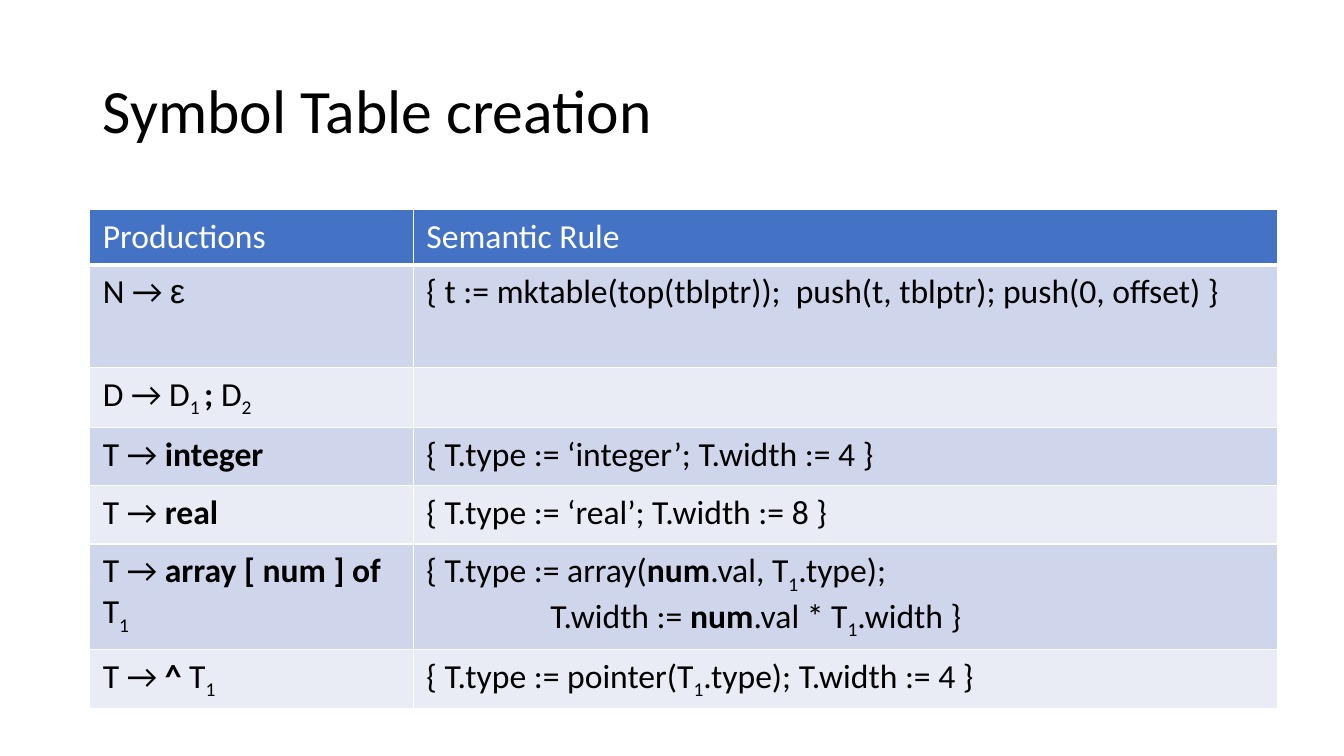
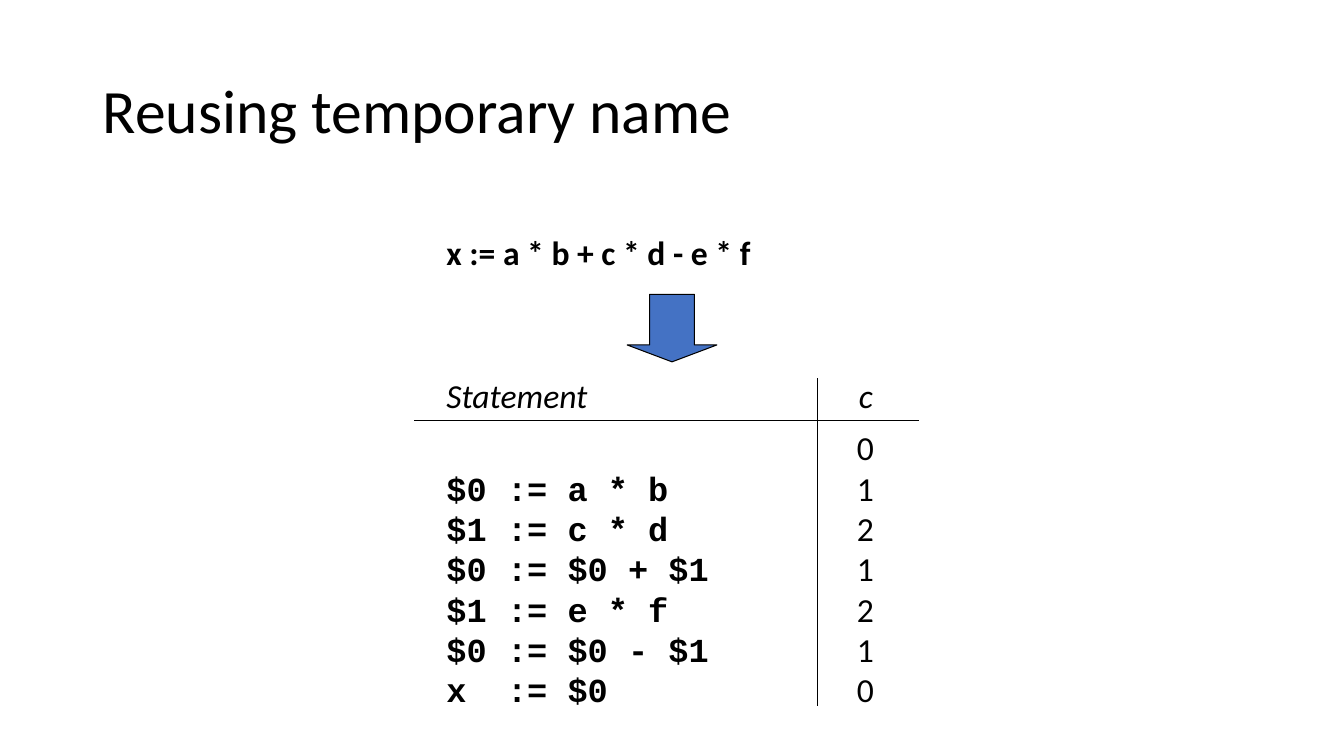
from typing import NamedTuple

import lxml.etree
import pptx
import pptx.dml.color
import pptx.enum.shapes
import pptx.enum.text
import pptx.oxml.ns
import pptx.util

Inches = pptx.util.Inches
BLACK, WHITE, BLUE = "000000", "FFFFFF", "4472C4"
BANDS = ("CFD5EA", "E9EBF5")
BODY_SIZE, TITLE_SIZE = 24, 44
COLUMN_WIDTHS = (3.21, 8.57)
ROW_HEIGHTS = (0.54, 1.02, 0.58, 0.58, 0.58, 1.02, 0.58)
HANGING_INDENT = 1.23


class Span(NamedTuple):
    text: str
    bold: bool = False
    sub: bool = False
    font: str = "Calibri"


class Line(NamedTuple):
    spans: tuple[Span, ...]
    indent: float = 0


class Rule(NamedTuple):
    production: tuple[Line, ...]
    action: tuple[Line, ...]


class Label(NamedTuple):
    text: str
    left: float
    top: float
    width: float
    height: float
    font: str = "Calibri"
    bold: bool = False
    italic: bool = False


class Segment(NamedTuple):
    x1: float
    y1: float
    x2: float
    y2: float


SUB_1 = Span("1", sub=True)
NUM = Span("num", bold=True)


def line(*spans: str | Span, indent: float = 0) -> Line:
    return Line(tuple(Span(sp) if isinstance(sp, str) else sp for sp in spans), indent)


RULES = (
    Rule((line("N → ", Span("ε", font="Arial")),),
         (line("{ t := mktable(top(tblptr));  push(t, tblptr); push(0, offset) }"),)),
    Rule((line("D → D", Span("1 ", sub=True), Span(";", bold=True), " D", Span("2", sub=True)),),
         (line(),)),
    Rule((line("T → ", Span("integer", bold=True)),),
         (line("{ T.type := ‘integer’; T.width := 4 }"),)),
    Rule((line("T → ", Span("real", bold=True)),),
         (line("{ T.type := ‘real’; T.width := 8 }"),)),
    Rule((line("T → ", Span("array [ num ] of", bold=True), " T", SUB_1),),
         (line("{ T.type := array(", NUM, ".val, T", SUB_1, ".type);"),
          line("T.width := ", NUM, ".val * T", SUB_1, ".width }", indent=HANGING_INDENT))),
    Rule((line("T → ", Span("^", bold=True), " T", SUB_1),),
         (line("{ T.type := pointer(T", SUB_1, ".type); T.width := 4 }"),)),
)

STATEMENTS = "\n".join((
    "$0 := a * b",
    "$1 := c * d",
    "$0 := $0 + $1",
    "$1 := e * f",
    "$0 := $0 - $1",
    "x  := $0",
))

LABELS = (
    Label("x := a * b + c * d - e * f", 4.33, 2.25, 3.24, 0.5, bold=True),
    Label("Statement", 4.33, 3.67, 1.62, 0.5, italic=True),
    Label("c", 8.42, 3.67, 0.34, 0.5, italic=True),
    Label(STATEMENTS, 4.33, 4.59, 2.82, 2.52, font="Courier New", bold=True),
    Label("\n".join("0121210"), 8.4, 4.19, 0.37, 2.93),
)

SEGMENTS = (Segment(4.11, 4.17, 9.11, 4.17), Segment(8.11, 3.75, 8.11, 7))


def rgb(color: str) -> pptx.dml.color.RGBColor:
    return pptx.dml.color.RGBColor.from_string(color)


def style(font, size: float, color: str, name: str = "Calibri",
          bold: bool = False, italic: bool = False) -> None:
    font.size = pptx.util.Pt(size)
    font.name = name
    font.bold = bold
    font.italic = italic
    font.color.rgb = rgb(color)


def add_slide(prs, title: str):
    s = prs.slides.add_slide(prs.slide_layouts.get_by_name("Title Only"))
    sp = s.shapes.title
    sp.left, sp.top, sp.width, sp.height = map(Inches, (0.92, 0.4, 11.5, 1.45))
    tf = sp.text_frame
    tf.text = title
    tf.vertical_anchor = pptx.enum.text.MSO_ANCHOR.MIDDLE
    p = tf.paragraphs[0]
    p.alignment = pptx.enum.text.PP_ALIGN.LEFT
    p.line_spacing = 0.9
    style(p.runs[0].font, TITLE_SIZE, BLACK)
    return s


def set_borders(cell, bottom: float) -> None:
    tc_pr = cell._tc.get_or_add_tcPr()
    qn = pptx.oxml.ns.qn
    for side, width in (("L", 1), ("R", 1), ("T", 1), ("B", bottom)):
        ln = lxml.etree.SubElement(tc_pr, qn(f"a:ln{side}"), w=str(pptx.util.Pt(width)))
        fill = lxml.etree.SubElement(ln, qn("a:solidFill"))
        lxml.etree.SubElement(fill, qn("a:srgbClr"), val=WHITE)


def fill_cell(cell, lines: tuple[Line, ...], fill: str, color: str, bottom: float = 1) -> None:
    set_borders(cell, bottom)
    cell.fill.solid()
    cell.fill.fore_color.rgb = rgb(fill)
    cell.margin_left = cell.margin_right = Inches(0.13)
    cell.margin_top = cell.margin_bottom = Inches(0.07)
    tf = cell.text_frame
    for i, item in enumerate(lines):
        p = tf.add_paragraph() if i else tf.paragraphs[0]
        if item.indent:
            p._p.get_or_add_pPr().set("marL", str(Inches(item.indent)))
        p.font.size = pptx.util.Pt(BODY_SIZE)
        for span in item.spans:
            r = p.add_run()
            r.text = span.text
            style(r.font, BODY_SIZE, color, span.font, span.bold)
            if span.sub:
                r._r.get_or_add_rPr().set("baseline", "-25000")


def add_rules_table(s) -> None:
    frame = s.shapes.add_table(
        len(ROW_HEIGHTS), len(COLUMN_WIDTHS), Inches(0.89), Inches(2.08),
        Inches(sum(COLUMN_WIDTHS)), Inches(sum(ROW_HEIGHTS)))
    table = frame.table
    for column, width in zip(table.columns, COLUMN_WIDTHS):
        column.width = Inches(width)
    for row, height in zip(table.rows, ROW_HEIGHTS):
        row.height = Inches(height)
    for col, heading in enumerate(("Productions", "Semantic Rule")):
        fill_cell(table.cell(0, col), (line(heading),), BLUE, WHITE, bottom=3)
    for i, rule in enumerate(RULES):
        for col, lines in enumerate(rule):
            fill_cell(table.cell(i + 1, col), lines, BANDS[i % 2], BLACK)


def add_label(s, label: Label) -> None:
    sp = s.shapes.add_textbox(*map(Inches, (label.left, label.top, label.width, label.height)))
    tf = sp.text_frame
    tf.text = label.text
    tf.word_wrap = False
    tf.auto_size = pptx.enum.text.MSO_AUTO_SIZE.SHAPE_TO_FIT_TEXT
    for p in tf.paragraphs:
        for r in p.runs:
            style(r.font, BODY_SIZE, BLACK, label.font, label.bold, label.italic)


def set_outline(sp) -> None:
    sp.line.color.rgb = rgb(BLACK)
    sp.line.width = pptx.util.Pt(0.75)


def add_segment(s, segment: Segment) -> None:
    sp = s.shapes.add_connector(pptx.enum.shapes.MSO_CONNECTOR.STRAIGHT, *map(Inches, segment))
    set_outline(sp)
    lxml.etree.SubElement(sp._element.spPr, pptx.oxml.ns.qn("a:effectLst"))


def add_down_arrow(s) -> None:
    sp = s.shapes.add_shape(pptx.enum.shapes.MSO_SHAPE.DOWN_ARROW,
                            *map(Inches, (6.22, 2.92, 0.89, 0.67)))
    sp.adjustments[0] = 0.5
    sp.adjustments[1] = 0.25
    sp.shadow.inherit = False
    sp.fill.solid()
    sp.fill.fore_color.rgb = rgb(BLUE)
    set_outline(sp)


def main() -> None:
    prs = pptx.Presentation()
    prs.slide_width, prs.slide_height = Inches(13.33), Inches(7.5)
    add_rules_table(add_slide(prs, "Symbol Table creation"))
    s = add_slide(prs, "Reusing temporary name")
    for label in LABELS:
        add_label(s, label)
    for segment in SEGMENTS:
        add_segment(s, segment)
    add_down_arrow(s)
    prs.save("out.pptx")


if __name__ == "__main__":
    main()
